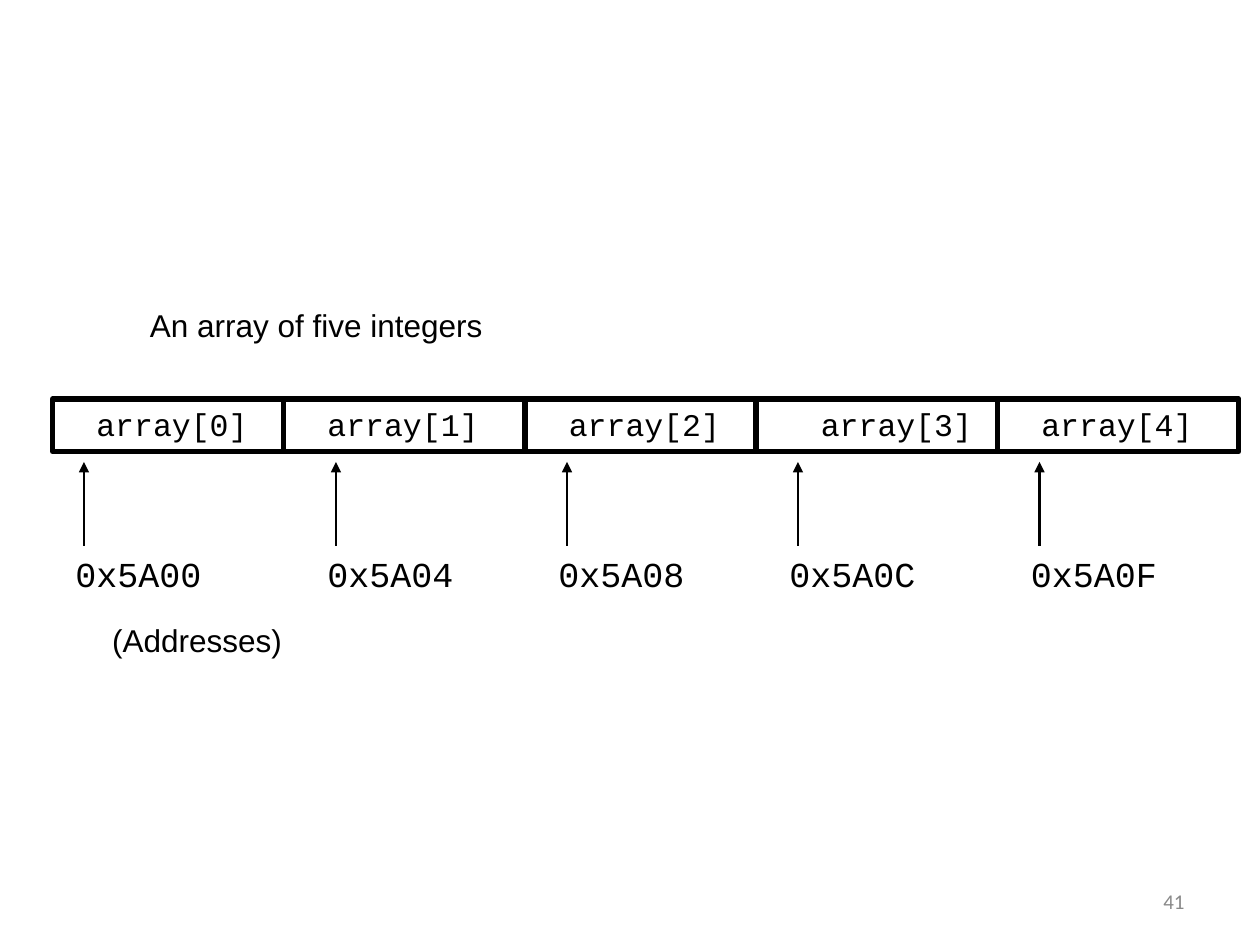
from dataclasses import dataclass

from lxml import etree
from pptx import Presentation
from pptx.dml.color import RGBColor
from pptx.enum.shapes import MSO_CONNECTOR, MSO_SHAPE
from pptx.enum.text import MSO_ANCHOR, PP_ALIGN
from pptx.oxml.ns import qn
from pptx.util import Pt

RECTANGLE = MSO_SHAPE.RECTANGLE
STRAIGHT = MSO_CONNECTOR.STRAIGHT
TOP, MIDDLE = MSO_ANCHOR.TOP, MSO_ANCHOR.MIDDLE
LEFT, RIGHT = PP_ALIGN.LEFT, PP_ALIGN.RIGHT

EMU_PER_PX = 7620  # 120 px to the inch
BLANK_LAYOUT = 6


@dataclass(frozen=True)
class Theme:
    ink: RGBColor = RGBColor(0x00, 0x00, 0x00)
    muted: RGBColor = RGBColor(0x89, 0x89, 0x89)
    text_font: str = "Arial"
    code_font: str = "Courier New"
    number_font: str = "Calibri"
    text_size: int = 18
    address_size: int = 20
    number_size: int = 12
    cell_line: float = 3
    arrow_line: float = 1.5


def px(length):
    return length * EMU_PER_PX


class SlideBuilder:
    def __init__(self, slide, theme):
        self.slide = slide
        self.theme = theme

    def style_line(self, shape, width):
        shape.line.color.rgb = self.theme.ink
        shape.line.width = Pt(width)

    def box(self, left, top, width, height):
        shape = self.slide.shapes.add_shape(
            RECTANGLE, px(left), px(top), px(width), px(height))
        shape.shadow.inherit = False
        shape.fill.background()
        self.style_line(shape, self.theme.cell_line)

    def line(self, start, end, width, arrow=False):
        connector = self.slide.shapes.add_connector(
            STRAIGHT, *map(px, (*start, *end)))
        self.style_line(connector, width)
        properties = connector._element.spPr
        etree.SubElement(properties, qn("a:effectLst"))
        if arrow:
            outline = properties.find(qn("a:ln"))
            etree.SubElement(outline, qn("a:tailEnd"), type="triangle")

    def text(self, content, left, top, width, height, font, size,
             color=None, align=LEFT, anchor=TOP):
        shape = self.slide.shapes.add_textbox(
            px(left), px(top), px(width), px(height))
        frame = shape.text_frame
        frame.word_wrap = False
        frame.vertical_anchor = anchor
        paragraph = frame.paragraphs[0]
        paragraph.alignment = align
        run = paragraph.add_run()
        run.text = content
        run.font.color.rgb = color or self.theme.ink
        for name, value in {"name": font, "size": Pt(size)}.items():
            setattr(run.font, name, value)


def main():
    presentation = Presentation()
    presentation.slide_width, presentation.slide_height = px(1200), px(900)
    slide = presentation.slides.add_slide(
        presentation.slide_layouts[BLANK_LAYOUT])
    theme = Theme()
    builder = SlideBuilder(slide, theme)

    # Array frame: two double cells and a single one
    row_top, row_height = 380, 50
    for left, right in ((50, 500), (500, 950), (950, 1180)):
        builder.box(left, row_top, right - left, row_height)
    for x in (270, 720):
        builder.line((x, row_top), (x, row_top + row_height), theme.cell_line)

    # Elements: name in the cell, address below, arrow between them
    address_top, arrow_tip = 520, 440
    elements = (
        (80, "0x5A00", 60),
        (300, "0x5A04", 300),
        (530, "0x5A08", 520),
        (770, "0x5A0C", 740),
        (980, "0x5A0F", 970),
    )
    for index, (name_left, address, address_left) in enumerate(elements):
        builder.text(f"array[{index}]", name_left, row_top, 168, 48,
                     theme.code_font, theme.text_size)
        builder.text(address, address_left, address_top, 144, 53,
                     theme.code_font, theme.address_size)
        arrow_x = address_left + 20
        builder.line((arrow_x, address_top), (arrow_x, arrow_tip),
                     theme.arrow_line, arrow=True)

    # Captions
    builder.text("An array of five integers", 131, 286, 341, 48,
                 theme.text_font, theme.text_size)
    builder.text("(Addresses)", 95, 586, 186, 48,
                 theme.text_font, theme.text_size)

    # Slide number
    builder.text("41", 860, 834, 280, 48, theme.number_font,
                 theme.number_size, theme.muted, RIGHT, MIDDLE)

    presentation.save("out.pptx")


if __name__ == "__main__":
    main()
